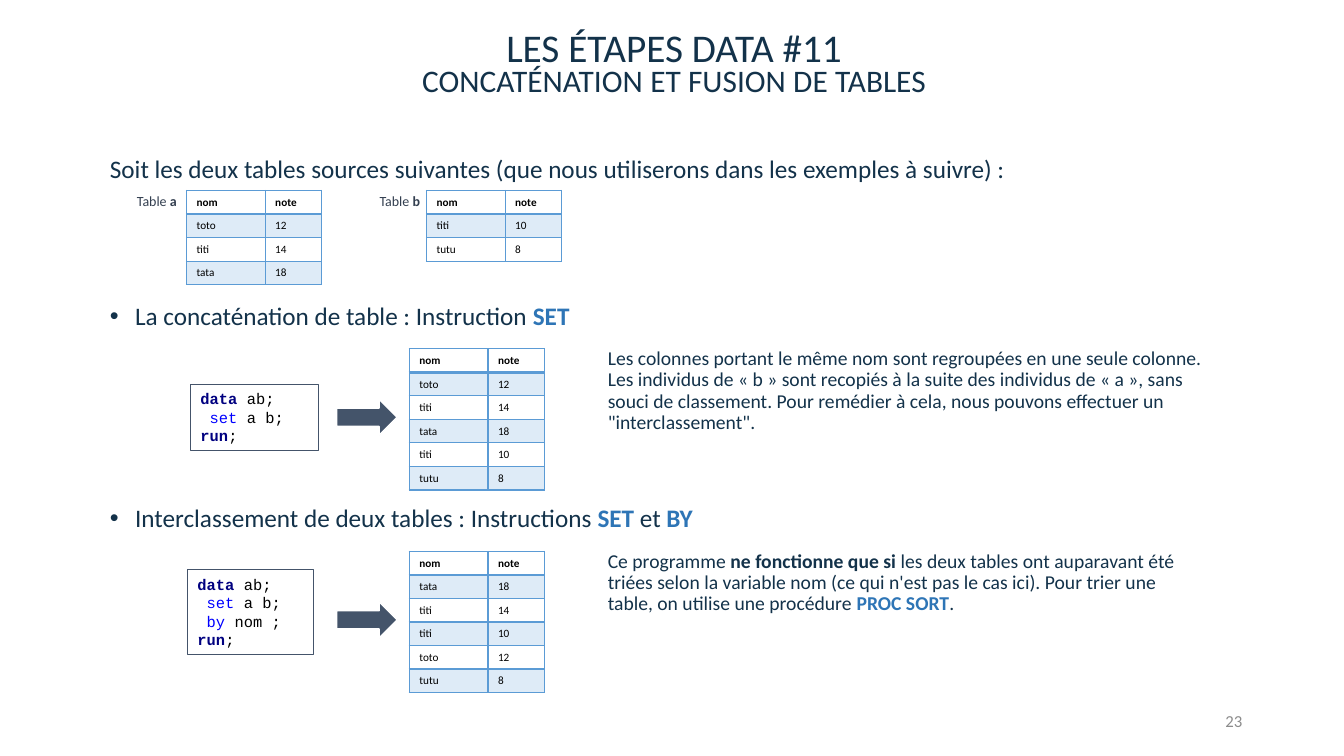
from collections import namedtuple
from dataclasses import dataclass

from lxml.etree import SubElement
from pptx import Presentation
from pptx.dml.color import RGBColor
from pptx.enum.shapes import MSO_SHAPE as Shape
from pptx.enum.text import MSO_ANCHOR as Anchor, MSO_AUTO_SIZE as AutoSize, PP_ALIGN as Align
from pptx.oxml.ns import qn
from pptx.util import Inches, Pt


@dataclass(frozen=True)
class Theme:
    """Colours, fonts and type sizes of the slide."""
    navy: str = "13324A"
    accent: str = "2E75B6"
    slate: str = "44546A"
    label: str = "333F50"
    grey: str = "8C8C8C"
    black: str = "000000"
    white: str = "FFFFFF"
    border: str = "5B9BD5"
    band: str = "DEEBF7"
    keyword: str = "000080"
    statement: str = "0000FF"
    font: str = "Calibri"
    code_font: str = "Courier New"
    title_size: int = 28
    body_size: int = 18
    note_size: int = 14
    number_size: int = 12
    code_size: int = 11
    label_size: int = 10
    table_size: int = 8


THEME = Theme()
Span = namedtuple("Span", "text color bold", defaults=(None, False))
HEADER = ("nom", "note")
TABLE_A = [("toto", 12), ("titi", 14), ("tata", 18)]
TABLE_B = [("titi", 10), ("tutu", 8)]
INTERLEAVED = [("tata", 18), ("titi", 14), ("titi", 10), ("toto", 12), ("tutu", 8)]
DATA_LINE = [Span("data", THEME.keyword, True), Span(" ab;")]
SET_LINE = [Span(" set ", THEME.statement), Span("a b;")]
BY_LINE = [Span(" by ", THEME.statement), Span("nom ;")]
RUN_LINE = [Span("run", THEME.keyword, True), Span(";")]


def rgb(color):
    """Turn a hex string into a colour."""
    return RGBColor.from_string(color)


def write(paragraph, spans, size, color=THEME.navy, font=THEME.font):
    """Fill a paragraph with spans sharing one font and size."""
    for span in spans:
        run = paragraph.add_run()
        run.text = span.text
        run.font.bold = span.bold
        run.font.color.rgb = rgb(span.color or color)
    for target in (paragraph.font, *(run.font for run in paragraph.runs)):
        target.name = font
        target.size = Pt(size)


def add_text(slide, box, spans, size, color=THEME.navy, align=Align.LEFT, anchor=Anchor.TOP):
    """Add a wrapping one-paragraph text box and return its paragraph."""
    frame = slide.shapes.add_textbox(*map(Inches, box)).text_frame
    frame.word_wrap = True
    frame.vertical_anchor = anchor
    paragraph = frame.paragraphs[0]
    paragraph.alignment = align
    write(paragraph, spans, size, color)
    return paragraph


def add_headings(slide):
    """Set the title and the small-caps subtitle under it."""
    title = slide.shapes.title
    title.left, title.top, title.width, title.height = map(Inches, (1.78, 0.23, 9.81, 0.52))
    title.text_frame.auto_size = AutoSize.NONE
    title.text_frame.vertical_anchor = Anchor.MIDDLE
    heading = title.text_frame.paragraphs[0]
    heading.alignment = Align.CENTER
    write(heading, [Span("LES ÉTAPES DATA #11")], THEME.title_size)
    subtitle = add_text(slide, (1.78, 0.53, 9.81, 0.52), [Span("concaténation et fusion de tables")],
                        THEME.title_size, align=Align.CENTER, anchor=Anchor.MIDDLE)
    subtitle.runs[0].font._element.set("cap", "small")
    heading.line_spacing = subtitle.line_spacing = 0.9


def add_outline(slide):
    """Fill the body with the introduction and the two bulleted topics."""
    body = slide.placeholders[1]
    body.left, body.top, body.width, body.height = map(Inches, (0.99, 1.5, 11.5, 5.37))
    frame = body.text_frame
    frame.auto_size = AutoSize.NONE
    topics = [
        (10, None, [Span("Soit les deux tables sources suivantes "
                         "(que nous utiliserons dans les exemples à suivre) :")]),
        (86, "•", [Span("La concaténation de table : Instruction "), Span("SET", THEME.accent, True)]),
        (125, "•", [Span("Interclassement de deux tables : Instructions "),
                    Span("SET ", THEME.accent, True), Span("et"), Span(" BY", THEME.accent, True)]),
    ]
    for index, (gap, bullet, spans) in enumerate(topics):
        paragraph = frame.add_paragraph() if index else frame.paragraphs[0]
        paragraph.line_spacing = 0.9
        paragraph.space_before = Pt(gap)
        properties = paragraph._p.get_or_add_pPr()
        indent = Inches(0.25) if bullet else 0
        properties.set("marL", str(indent))
        properties.set("indent", str(-indent))
        if bullet:
            SubElement(properties, qn("a:buChar")).set("char", bullet)
        else:
            SubElement(properties, qn("a:buNone"))
        write(paragraph, spans, THEME.body_size)


def add_borders(cell, header):
    """Draw the four cell borders, thicker under the header."""
    properties = cell._tc.get_or_add_tcPr()
    for side in ("lnL", "lnR", "lnT", "lnB"):
        width = 2 if header and side == "lnB" else 1
        line = SubElement(properties, qn(f"a:{side}"), w=str(Pt(width)))
        fill = SubElement(line, qn("a:solidFill"))
        SubElement(fill, qn("a:srgbClr"), val=THEME.border)


def add_data_table(slide, left, top, records):
    """Add a bordered table with a header and shaded odd records."""
    rows = [HEADER, *records]
    widths = (0.78, 0.56)
    row_height = 0.23
    table = slide.shapes.add_table(len(rows), len(widths), Inches(left), Inches(top),
                                   Inches(sum(widths)), Inches(row_height * len(rows))).table
    table.first_row = table.horz_banding = False
    for column, width in zip(table.columns, widths):
        column.width = Inches(width)
    for r, record in enumerate(rows):
        table.rows[r].height = Inches(row_height)
        for c, value in enumerate(record):
            cell = table.cell(r, c)
            add_borders(cell, r == 0)
            if r % 2:
                cell.fill.solid()
                cell.fill.fore_color.rgb = rgb(THEME.band)
            else:
                cell.fill.background()
            write(cell.text_frame.paragraphs[0], [Span(str(value), bold=r == 0)],
                  THEME.table_size, THEME.black)


def add_code(slide, box, lines):
    """Add an outlined box of highlighted code lines."""
    code = slide.shapes.add_shape(Shape.RECTANGLE, *map(Inches, box))
    code.shadow.inherit = False
    code.fill.background()
    code.line.color.rgb = rgb(THEME.slate)
    code.line.width = Pt(0.25)
    frame = code.text_frame
    frame.word_wrap = True
    frame.vertical_anchor = Anchor.MIDDLE
    for index, spans in enumerate(lines):
        paragraph = frame.add_paragraph() if index else frame.paragraphs[0]
        paragraph.alignment = Align.LEFT
        write(paragraph, spans, THEME.code_size, THEME.black, THEME.code_font)


def add_example(slide, top, code_box, code_lines, records, note):
    """Lay out code, arrow, resulting table and explanation in a row."""
    add_code(slide, code_box, code_lines)
    arrow = slide.shapes.add_shape(Shape.RIGHT_ARROW, Inches(3.34), Inches(top + 0.5),
                                   Inches(0.6), Inches(0.36))
    arrow.shadow.inherit = False
    arrow.fill.solid()
    arrow.fill.fore_color.rgb = rgb(THEME.slate)
    arrow.line.color.rgb = rgb(THEME.white)
    arrow.line.width = Pt(1)
    add_data_table(slide, 4.06, top, records)
    explanation = add_text(slide, (5.93, top - 0.05, 6.13, 0.95), note, THEME.note_size)
    explanation.line_spacing = 0.9
    explanation.space_before = Pt(5)


def main():
    """Build and save the slide."""
    deck = Presentation()
    deck.slide_width, deck.slide_height = Inches(13.33), Inches(7.5)
    slide = deck.slides.add_slide(deck.slide_layouts[1])
    add_headings(slide)
    add_outline(slide)
    for name, label_left, table_left, records in (("a", 1.13, 1.85, TABLE_A), ("b", 3.54, 4.23, TABLE_B)):
        add_text(slide, (label_left, 1.86, 0.85, 0.27), [Span("Table "), Span(name, bold=True)],
                 THEME.label_size, THEME.label, Align.CENTER)
        add_data_table(slide, table_left, 1.89, records)
    add_example(slide, 3.46, (1.89, 3.81, 1.27, 0.66), [DATA_LINE, SET_LINE, RUN_LINE], TABLE_A + TABLE_B, [
        Span("Les colonnes portant le même nom sont regroupées en une seule colonne. "
             "Les individus de « b » sont recopiés à la suite des individus de « a », sans souci "
             "de classement. Pour remédier à cela, nous pouvons effectuer un \"interclassement\".")])
    add_example(slide, 5.47, (1.86, 5.65, 1.25, 0.84), [DATA_LINE, SET_LINE, BY_LINE, RUN_LINE], INTERLEAVED, [
        Span("Ce programme "), Span("ne fonctionne que si ", bold=True),
        Span("les deux tables ont auparavant été triées selon la variable nom (ce qui n'est pas "
             "le cas ici). Pour trier une table, on utilise une procédure "),
        Span("PROC SORT", THEME.accent, True), Span(".")])
    add_text(slide, (9.42, 6.95, 3, 0.4), [Span("23")], THEME.number_size, THEME.grey, Align.RIGHT, Anchor.MIDDLE)
    deck.save("out.pptx")


if __name__ == "__main__":
    main()
